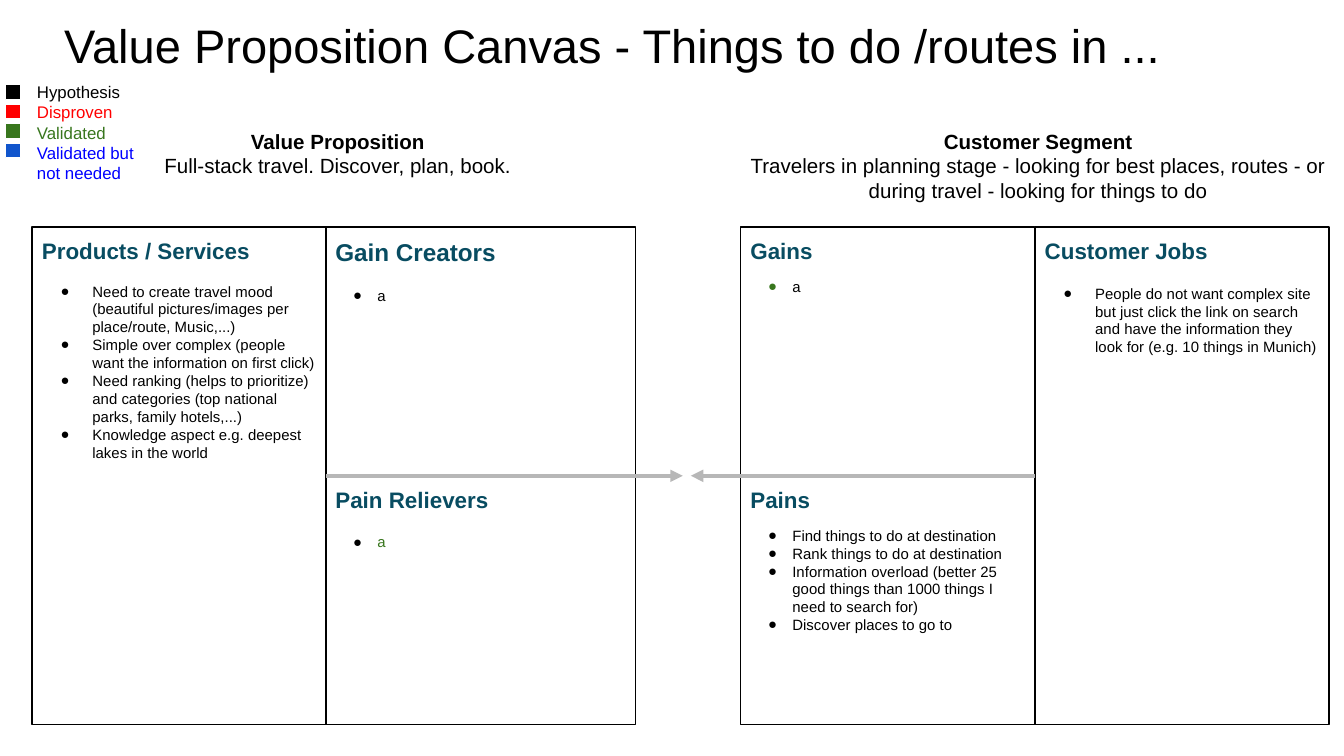
"""Build a value proposition canvas slide with six panels and a status legend."""
from dataclasses import dataclass

from lxml import etree
from pptx import Presentation
from pptx.dml.color import RGBColor
from pptx.enum.shapes import MSO_CONNECTOR, MSO_SHAPE
from pptx.enum.text import MSO_ANCHOR, MSO_AUTO_SIZE, PP_ALIGN
from pptx.oxml.ns import qn
from pptx.util import Pt

RECTANGLE = MSO_SHAPE.RECTANGLE
STRAIGHT = MSO_CONNECTOR.STRAIGHT
TOP, MIDDLE = MSO_ANCHOR.TOP, MSO_ANCHOR.MIDDLE
LEFT, CENTER = PP_ALIGN.LEFT, PP_ALIGN.CENTER
NO_AUTO_SIZE = MSO_AUTO_SIZE.NONE
LEFT_SIDE, RIGHT_SIDE = 1, 3

COLORS = {
    "black": "000000",
    "white": "FFFFFF",
    "heading": "084C61",
    "red": "FF0000",
    "green": "38761D",
    "blue": "0000FF",
    "swatch blue": "1155CC",
    "arrow": "B7B7B7",
}

PANEL_TOP, PANEL_HEIGHT = 121.7, 266.4
HALF = PANEL_HEIGHT / 2
MIDLINE = PANEL_TOP + HALF
PRODUCTS_LEFT, CREATORS_LEFT = 17.2, 174.4
GAINS_LEFT, JOBS_LEFT = 396.7, 554.4
PANEL_WIDTH, CREATORS_WIDTH = 157.6, 166.2
PANEL_INSET, LEGEND_INSET = 5.3, 7.2
LEGEND_TOP, LEGEND_PITCH, SWATCH_SIZE = 45.4, 10.4, 8


@dataclass
class Panel:
    """A titled box with a bulleted list."""
    title: str
    left: float
    top: float
    width: float
    height: float
    items: list[str]
    gap: float
    title_size: float = 12
    indent: float = 22.5
    hanging: float = 13
    bullet_color: str = "black"
    item_color: str = "black"


@dataclass
class Header:
    """A centred heading with a description above a group of panels."""
    title: str
    description: str
    left: float


@dataclass
class Status:
    """A legend entry."""
    label: str
    text_color: str
    swatch_color: str


PANELS = [
    Panel("Products / Services", PRODUCTS_LEFT, PANEL_TOP, PANEL_WIDTH, PANEL_HEIGHT,
          ["Need to create travel mood (beautiful pictures/images per place/route, Music,...)",
           "Simple over complex (people want the information on first click)",
           "Need ranking (helps to prioritize) and categories (top national parks, "
           "family hotels,...)",
           "Knowledge aspect e.g. deepest lakes in the world"],
          9.8, indent=27, hanging=17),
    Panel("Pain Relievers", CREATORS_LEFT, MIDLINE, CREATORS_WIDTH, HALF, ["a"], 10.9,
          item_color="green"),
    Panel("Gain Creators", CREATORS_LEFT, PANEL_TOP, CREATORS_WIDTH, HALF, ["a"], 10.9,
          title_size=13),
    Panel("Pains", GAINS_LEFT, MIDLINE, PANEL_WIDTH, HALF,
          ["Find things to do at destination",
           "Rank things to do at destination",
           "Information overload (better 25 good things than 1000 things I need to search for)",
           "Discover places to go to"], 7.4),
    Panel("Gains", GAINS_LEFT, PANEL_TOP, PANEL_WIDTH, HALF, ["a"], 7.2,
          bullet_color="green"),
    Panel("Customer Jobs", JOBS_LEFT, PANEL_TOP, PANEL_WIDTH, PANEL_HEIGHT,
          ["People do not want complex site but just click the link on search and have "
           "the information they look for (e.g. 10 things in Munich)"],
          10.9, indent=27, hanging=17),
]
HEADERS = [
    Header("Value Proposition", "Full-stack travel. Discover, plan, book.", 17.2),
    Header("Customer Segment",
           "Travelers in planning stage - looking for best places, routes - or during "
           "travel - looking for things to do", 392.4),
]
STATUSES = [
    Status("Hypothesis", "black", "black"),
    Status("Disproven", "red", "red"),
    Status("Validated", "green", "green"),
    Status("Validated but not needed", "blue", "swatch blue"),
]


def rgb(name: str) -> RGBColor:
    """Return a named colour."""
    return RGBColor.from_string(COLORS[name])


def format_frame(frame, inset: float, anchor=TOP) -> None:
    """Set wrapping, anchor and equal insets of a text frame."""
    values = {"word_wrap": True, "auto_size": NO_AUTO_SIZE, "vertical_anchor": anchor}
    values |= {f"margin_{side}": Pt(inset) for side in ("left", "top", "right", "bottom")}
    for name, value in values.items():
        setattr(frame, name, value)


def write(frame, text: str, size: float, color: str = "black", bold: bool = False,
          alignment=LEFT):
    """Fill the first empty paragraph or append one, and return it."""
    paragraph = frame.paragraphs[0] if not frame.text else frame.add_paragraph()
    paragraph.alignment = alignment
    run = paragraph.add_run()
    run.text = text
    for name, value in {"name": "Arial", "size": Pt(size), "bold": bold}.items():
        setattr(run.font, name, value)
    run.font.color.rgb = rgb(color)
    return paragraph


def add_bullet(paragraph, panel: Panel) -> None:
    """Give a paragraph the hanging bullet of its panel."""
    properties = paragraph._p.get_or_add_pPr()
    properties.set("marL", str(Pt(panel.indent)))
    properties.set("indent", str(-Pt(panel.hanging)))
    color = etree.SubElement(properties, qn("a:buClr"))
    etree.SubElement(color, qn("a:srgbClr"), val=COLORS[panel.bullet_color])
    etree.SubElement(properties, qn("a:buFont"), typeface="Arial")
    etree.SubElement(properties, qn("a:buChar"), char="●")


def add_rectangle(slide, left: float, top: float, width: float, height: float, line: str):
    """Add a rectangle with a thin line and no shadow."""
    shape = slide.shapes.add_shape(RECTANGLE, Pt(left), Pt(top), Pt(width), Pt(height))
    shape.shadow.inherit = False
    shape.line.color.rgb = rgb(line)
    shape.line.width = Pt(0.75)
    return shape


def add_panel(slide, panel: Panel):
    """Draw one canvas panel and return its rectangle."""
    shape = add_rectangle(slide, panel.left, panel.top, panel.width, panel.height, "black")
    shape.fill.background()
    frame = shape.text_frame
    format_frame(frame, PANEL_INSET)
    write(frame, panel.title, panel.title_size, "heading", True)
    for index, item in enumerate(panel.items):
        paragraph = write(frame, item, 8, panel.item_color)
        paragraph.space_before = Pt(0 if index else panel.gap)
        add_bullet(paragraph, panel)
    return shape


def add_header(slide, header: Header) -> None:
    """Draw a heading and its description."""
    box = slide.shapes.add_textbox(Pt(header.left), Pt(63.6), Pt(327.6), Pt(46))
    format_frame(box.text_frame, PANEL_INSET)
    write(box.text_frame, header.title, 11, bold=True, alignment=CENTER)
    write(box.text_frame, header.description, 11, alignment=CENTER)


def add_arrow(slide, panel_shape, side: int, end: float) -> None:
    """Draw an arrow from the middle of a panel's side to the gap between groups."""
    arrow = slide.shapes.add_connector(STRAIGHT, 0, 0, Pt(end), Pt(MIDLINE))
    arrow.begin_connect(panel_shape, side)
    arrow.line.color.rgb = rgb("arrow")
    arrow.line.width = Pt(2.25)
    etree.SubElement(arrow.line._get_or_add_ln(), qn("a:tailEnd"), type="triangle")
    etree.SubElement(arrow._element.spPr, qn("a:effectLst"))


def add_legend(slide) -> None:
    """Draw the status labels and their colour swatches."""
    box = slide.shapes.add_textbox(Pt(12.7), Pt(36.7), Pt(72.7), Pt(69))
    format_frame(box.text_frame, LEGEND_INSET)
    for index, status in enumerate(STATUSES):
        write(box.text_frame, status.label, 9, status.text_color)
        swatch = add_rectangle(slide, 2.9, LEGEND_TOP + index * LEGEND_PITCH,
                               SWATCH_SIZE, SWATCH_SIZE, "white")
        swatch.fill.solid()
        swatch.fill.fore_color.rgb = rgb(status.swatch_color)


def main() -> None:
    """Build and save the slide."""
    presentation = Presentation()
    presentation.slide_width, presentation.slide_height = Pt(720), Pt(405)
    slide = presentation.slides.add_slide(presentation.slide_layouts[5])
    title = slide.shapes.title
    bounds = {"left": 27.2, "top": 12.2, "width": 668.2, "height": 23}
    for name, value in bounds.items():
        setattr(title, name, Pt(value))
    format_frame(title.text_frame, LEGEND_INSET, MIDDLE)
    write(title.text_frame, "Value Proposition Canvas - Things to do /routes in ...", 25.2)
    panels = {panel.title: add_panel(slide, panel) for panel in PANELS}
    for header in HEADERS:
        add_header(slide, header)
    add_arrow(slide, panels["Products / Services"], RIGHT_SIDE, 365.8)
    add_arrow(slide, panels["Customer Jobs"], LEFT_SIDE, 370.1)
    add_legend(slide)
    presentation.save("out.pptx")


if __name__ == "__main__":
    main()
